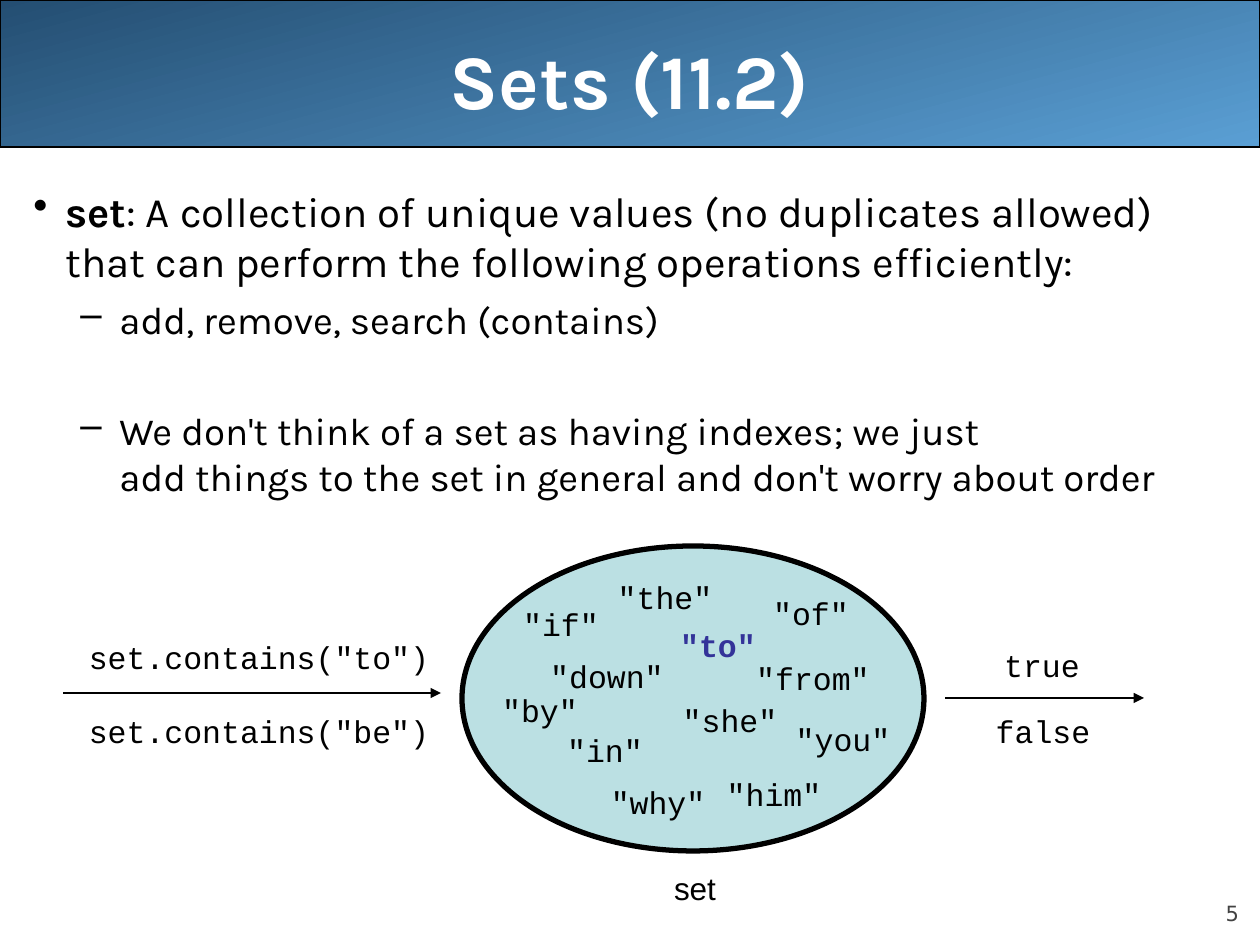
from lxml.etree import SubElement
from pptx import Presentation
from pptx.dml.color import RGBColor
from pptx.enum.shapes import MSO_CONNECTOR, MSO_SHAPE
from pptx.enum.text import MSO_ANCHOR, PP_ALIGN
from pptx.oxml.ns import qn
from pptx.util import Emu, Pt

BLACK = RGBColor(0x00, 0x00, 0x00)
WHITE = RGBColor(0xFF, 0xFF, 0xFF)
GRAY = RGBColor(0x42, 0x42, 0x42)
NAVY = RGBColor(0x24, 0x4E, 0x72)
SKY = RGBColor(0x5A, 0x9F, 0xD4)
PALE_TEAL = RGBColor(0xBB, 0xE0, 0xE3)
INDIGO = RGBColor(0x33, 0x33, 0x99)

TITLE = "Sets (11.2)"
PAGE_NUMBER = "5"
# bullet, term in bold, text, left margin px, hanging px, size pt, space before pt
POINTS = [
    ("•", "set", ": A collection of unique values (no duplicates allowed)\v"
     "that can perform the following operations efficiently:", 32, 32, 24, 0),
    ("–", "", "add, remove, search (contains)", 86, 39, 22, 5.5),
    ("–", "", "We don't think of a set as having indexes; we just\v"
     "add things to the set in general and don't worry about order", 86, 39, 22, 37),
]
# text, centre x, top y
MEMBERS = [
    ('"the"', 665, 572), ('"of"', 811, 588), ('"from"', 813, 653),
    ('"to"', 718, 620), ('"she"', 730, 695), ('"you"', 843, 714),
    ('"him"', 774, 769), ('"why"', 658, 777), ('"in"', 605, 725),
    ('"down"', 607, 651), ('"by"', 540, 685), ('"if"', 561, 599),
]
CALLS = [
    ('set.contains("to")', 259, 632), ('set.contains("be")', 259, 706),
    ("true", 1042, 640), ("false", 1043, 706),
]
FOUND_MEMBER = '"to"'
# left x, right x, y
ARROWS = [(63, 441, 693), (945, 1144, 698)]
CHAR_WIDTH, LABEL_MARGIN, LABEL_HEIGHT = 19, 25, 50


def px(n):
    return Emu(round(n * 914400 / 126))


def set_font(paragraph, name, size, color, bold=False):
    font = paragraph.font
    font.name, font.size, font.bold = name, Pt(size), bold
    font.color.rgb = color


def add_text_box(slide, x, y, w, h):
    frame = slide.shapes.add_textbox(px(x), px(y), px(w), px(h)).text_frame
    frame.word_wrap = True
    return frame


def add_label(slide, text, center, top, font="Courier New", color=BLACK, bold=False):
    width = len(text) * CHAR_WIDTH + LABEL_MARGIN
    frame = add_text_box(slide, center - width / 2, top, width, LABEL_HEIGHT)
    frame.word_wrap = False
    paragraph = frame.paragraphs[0]
    paragraph.text = text
    paragraph.alignment = PP_ALIGN.CENTER
    set_font(paragraph, font, 18, color, bold)


def add_outlined(slide, kind, x, y, w, h, line_width):
    shape = slide.shapes.add_shape(kind, px(x), px(y), px(w), px(h))
    shape.shadow.inherit = False
    shape.line.color.rgb = BLACK
    shape.line.width = Pt(line_width)
    return shape


def add_arrow(slide, left, right, y):
    arrow = slide.shapes.add_connector(
        MSO_CONNECTOR.STRAIGHT, px(left), px(y), px(right), px(y))
    arrow.line.color.rgb = BLACK
    arrow.line.width = Pt(0.75)
    SubElement(arrow.line._get_or_add_ln(), qn("a:tailEnd"), type="triangle")
    SubElement(arrow._element.spPr, qn("a:effectLst"))


def add_header(slide):
    banner = add_outlined(slide, MSO_SHAPE.RECTANGLE, 0, 0, 1260, 147, 0.75)
    banner.fill.gradient()
    banner.fill.gradient_angle = 285
    for stop, color in zip(banner.fill.gradient_stops, (NAVY, SKY)):
        stop.color.rgb = color
    title = slide.shapes.title
    title._element.addprevious(banner._element)
    title.left, title.top, title.width, title.height = map(px, (63, 0, 1134, 158))
    title.text_frame.vertical_anchor = MSO_ANCHOR.MIDDLE
    paragraph = title.text_frame.paragraphs[0]
    paragraph.text = TITLE
    paragraph.alignment = PP_ALIGN.CENTER
    set_font(paragraph, "Karla", 44, WHITE, True)


def add_points(slide):
    frame = add_text_box(slide, 21, 179, 1239, 400)
    for i, (bullet, term, text, margin, hanging, size, before) in enumerate(POINTS):
        paragraph = frame.add_paragraph() if i else frame.paragraphs[0]
        properties = paragraph._p.get_or_add_pPr()
        properties.set("marL", str(px(margin)))
        properties.set("indent", str(-px(hanging)))
        SubElement(properties, qn("a:buChar"), char=bullet)
        paragraph.space_before = Pt(before)
        set_font(paragraph, "Karla", size, BLACK)
        if term:
            run = paragraph.add_run()
            run.text = term
            run.font.bold = True
        for j, line in enumerate(text.split("\v")):
            if j:
                paragraph.add_line_break()
            paragraph.add_run().text = line


def add_page_number(slide):
    frame = add_text_box(slide, 1134, 876, 105, 50)
    frame.margin_left = frame.margin_right = frame.margin_top = frame.margin_bottom = 0
    frame.vertical_anchor = MSO_ANCHOR.BOTTOM
    paragraph = frame.paragraphs[0]
    paragraph.text = PAGE_NUMBER
    paragraph.alignment = PP_ALIGN.RIGHT
    set_font(paragraph, "DejaVu Sans", 12, GRAY)


def main():
    prs = Presentation()
    prs.slide_width, prs.slide_height = px(1260), px(945)
    slide = prs.slides.add_slide(prs.slide_layouts[5])
    add_header(slide)
    add_page_number(slide)
    add_points(slide)
    for arrow in ARROWS:
        add_arrow(slide, *arrow)
    ellipse = add_outlined(slide, MSO_SHAPE.OVAL, 462, 546, 462, 305, 3)
    ellipse.fill.solid()
    ellipse.fill.fore_color.rgb = PALE_TEAL
    add_label(slide, "set", 695, 863, "Arial")
    for text, center, top in MEMBERS + CALLS:
        found = text == FOUND_MEMBER
        add_label(slide, text, center, top, color=INDIGO if found else BLACK, bold=found)
    prs.save("out.pptx")


if __name__ == "__main__":
    main()
